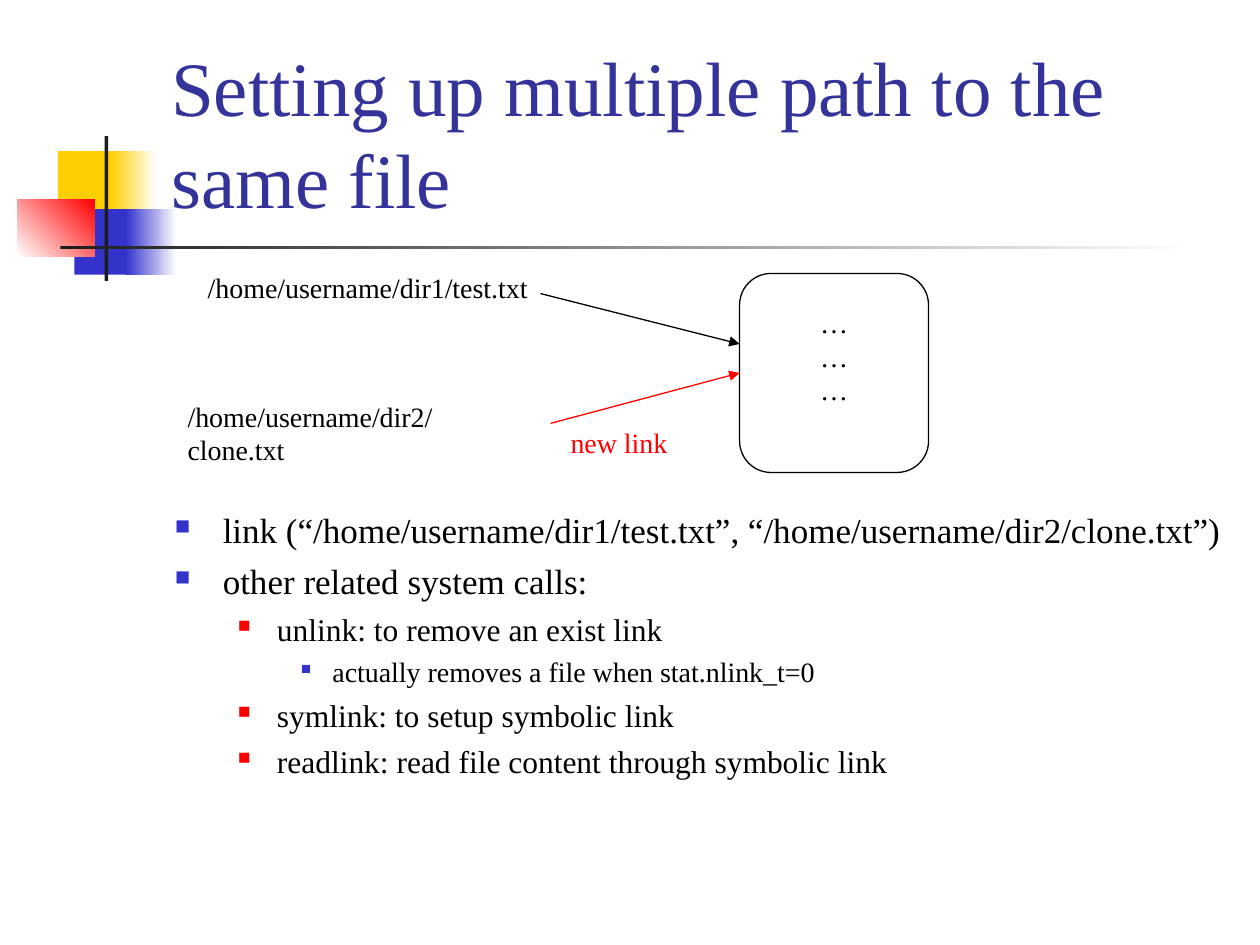
from lxml import etree
from pptx import Presentation
from pptx.dml.color import RGBColor
from pptx.enum.shapes import MSO_CONNECTOR, MSO_SHAPE
from pptx.enum.text import MSO_ANCHOR, PP_ALIGN
from pptx.oxml.ns import qn
from pptx.util import Inches, Pt

COLORS = {
    "yellow": "FFCF01", "blue": "3333CC", "red": "FF0000", "white": "FFFFFF",
    "charcoal": "1C1C1C", "title": "333399", "black": "000000",
}
FONT = "Times New Roman"

DECORATIONS = [
    ((0.46, 1.2, 0.48, 0.52), ["yellow"], 0),
    ((0.88, 1.2, 0.36, 0.52), ["yellow", "white"], 0),
    ((0.59, 1.66, 0.46, 0.52), ["blue"], 0),
    ((1, 1.66, 0.4, 0.52), ["blue", "white"], 0),
    ((0.14, 1.58, 0.61, 0.46), ["white", "red"], 45),
    ((0.83, 1.08, 0.03, 1.15), ["charcoal"], 0),
    ((0.48, 1.95, 9, 0.03), ["charcoal", "white"], 0),
]
TITLE = "Setting up multiple path to the same file"
CALLS = [
    (0, "link (“/home/username/dir1/test.txt”, “/home/username/dir2/clone.txt”)"),
    (0, "other related system calls:"),
    (1, "unlink: to remove an exist link"),
    (2, "actually removes a file when stat.nlink_t=0"),
    (1, "symlink: to setup symbolic link"),
    (1, "readlink: read file content through symbolic link"),
]
LEVELS = [
    {"size": 20, "indent": 0.38, "hang": 0.38, "bullet": "blue", "percent": 60},
    {"size": 18, "indent": 0.81, "hang": 0.31, "bullet": "red", "percent": 55},
    {"size": 16, "indent": 1.25, "hang": 0.25, "bullet": "blue", "percent": 50},
]
LABELS = [
    ("/home/username/dir1/test.txt", (1.55, 2.1, 2.74, 0.37), "black"),
    ("/home/username/dir2/clone.txt", (1.39, 3.12, 2.91, 0.37), "black"),
    ("new link", (4.43, 3.33, 0.97, 0.37), "red"),
]
FILE_BOX = (5.87, 2.17, 1.5, 1.58)
FILE_LINES = ["…", "…", "…"]
LINKS = [
    ((4.29, 2.33), (5.87, 2.73), "black"),
    ((4.37, 3.36), (5.87, 2.96), "red"),
]


def rgb(name):
    return RGBColor.from_string(COLORS[name])


def style(paragraph, size, color):
    paragraph.font.name = FONT
    paragraph.font.size = Pt(size)
    paragraph.font.color.rgb = rgb(color)


def add_shape(slide, kind, box):
    shape = slide.shapes.add_shape(kind, *map(Inches, box))
    shape.shadow.inherit = False
    return shape


def add_decoration(slide, box, colors, angle):
    block = add_shape(slide, MSO_SHAPE.RECTANGLE, box)
    block.line.fill.background()
    if len(colors) == 1:
        block.fill.solid()
        block.fill.fore_color.rgb = rgb(colors[0])
        return
    block.fill.gradient()
    block.fill.gradient_angle = angle
    for stop, color in zip(block.fill.gradient_stops, colors):
        stop.color.rgb = rgb(color)


def add_text(slide, text, box, size, color, wrap=True):
    frame = slide.shapes.add_textbox(*map(Inches, box)).text_frame
    frame.word_wrap = wrap
    frame.text = text
    for paragraph in frame.paragraphs:
        style(paragraph, size, color)
    return frame


def add_bullet(paragraph, level):
    paragraph.space_before = Pt(level["size"] / 4)
    properties = paragraph._p.get_or_add_pPr()
    properties.set("marL", str(Inches(level["indent"])))
    properties.set("indent", str(-Inches(level["hang"])))
    color = etree.SubElement(properties, qn("a:buClr"))
    etree.SubElement(color, qn("a:srgbClr"), val=COLORS[level["bullet"]])
    etree.SubElement(properties, qn("a:buSzPct"), val=str(level["percent"] * 1000))
    etree.SubElement(properties, qn("a:buChar"), char="■")


def add_calls(slide):
    frame = slide.shapes.add_textbox(*map(Inches, (1.29, 3.99, 8.5, 2.72))).text_frame
    frame.word_wrap = True
    frame.text = "\n".join(text for _, text in CALLS)
    for paragraph, (depth, _) in zip(frame.paragraphs, CALLS):
        paragraph.level = depth
        add_bullet(paragraph, LEVELS[depth])
        style(paragraph, LEVELS[depth]["size"], "black")


def add_file(slide):
    file = add_shape(slide, MSO_SHAPE.ROUNDED_RECTANGLE, FILE_BOX)
    file.fill.background()
    file.line.color.rgb = rgb("black")
    file.line.width = Pt(0.75)
    frame = file.text_frame
    frame.vertical_anchor = MSO_ANCHOR.MIDDLE
    frame.margin_bottom = Inches(0.32)
    frame.text = "\n".join(FILE_LINES)
    for paragraph in frame.paragraphs:
        paragraph.alignment = PP_ALIGN.CENTER
        style(paragraph, 16, "black")


def add_link(slide, start, end, color):
    link = slide.shapes.add_connector(
        MSO_CONNECTOR.STRAIGHT, *map(Inches, start + end))
    link.line.color.rgb = rgb(color)
    link.line.width = Pt(0.75)
    etree.SubElement(link.line._get_or_add_ln(), qn("a:tailEnd"), type="triangle")
    etree.SubElement(link._element.spPr, qn("a:effectLst"))


def main():
    deck = Presentation()
    deck.slide_width, deck.slide_height = Inches(10), Inches(7.5)
    slide = deck.slides.add_slide(deck.slide_layouts[6])
    for decoration in DECORATIONS:
        add_decoration(slide, *decoration)
    title = add_text(slide, TITLE, (1.26, 0.23, 8.52, 1.6), 44, "title")
    title.vertical_anchor = MSO_ANCHOR.BOTTOM
    add_calls(slide)
    add_file(slide)
    for link in LINKS:
        add_link(slide, *link)
    for text, box, color in LABELS:
        add_text(slide, text, box, 16, color, wrap=False)
    deck.save("out.pptx")


if __name__ == "__main__":
    main()
